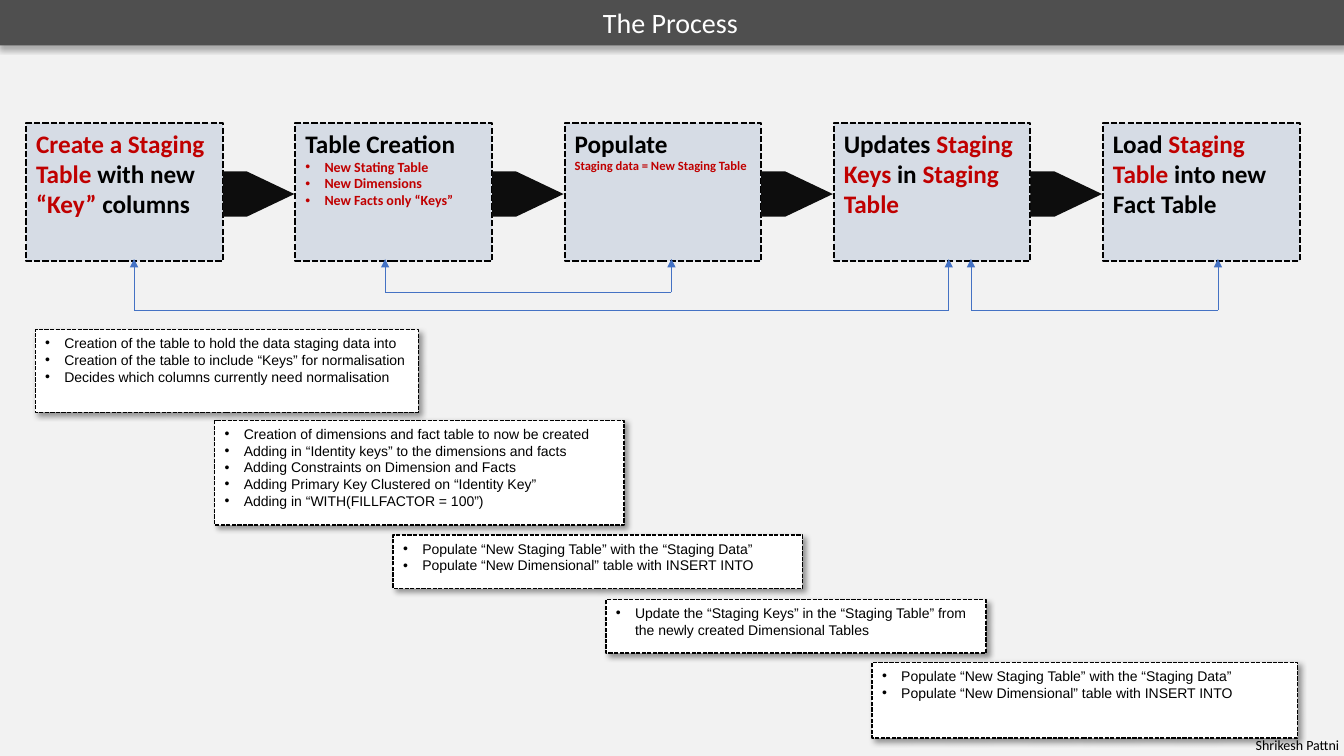
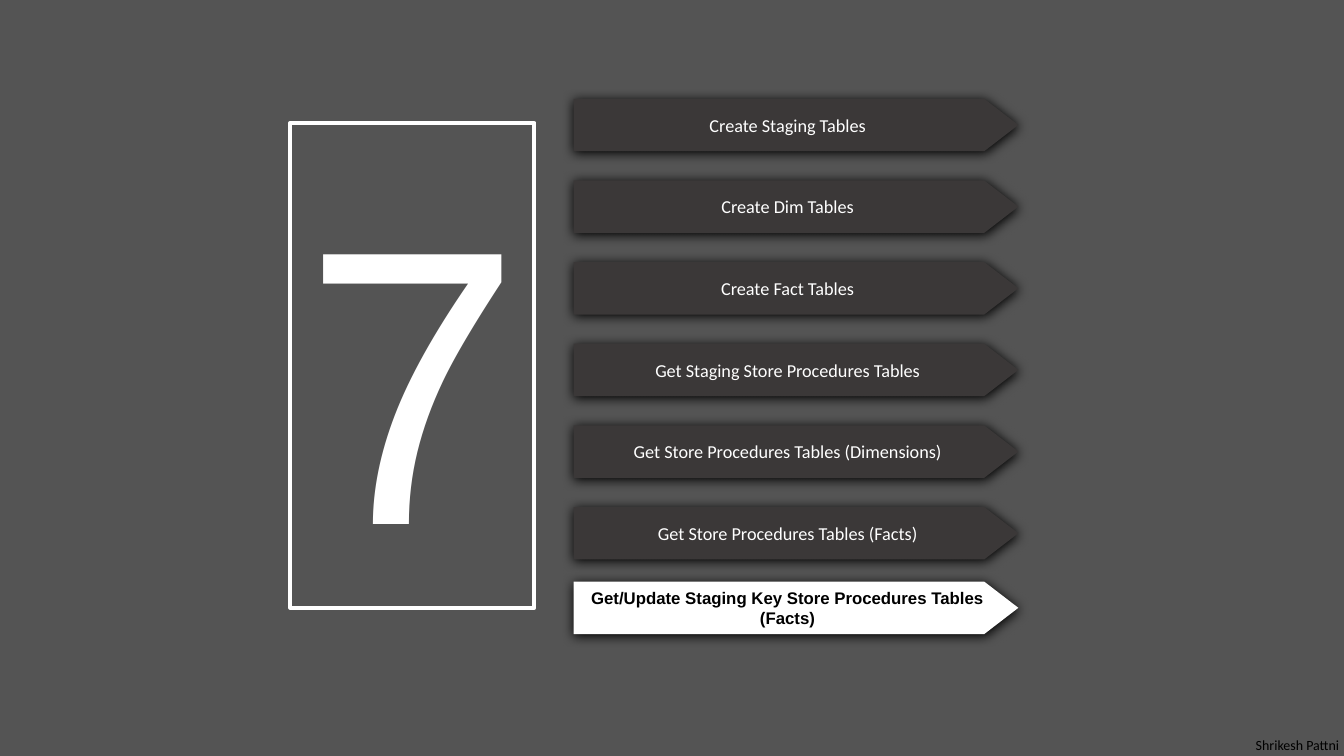
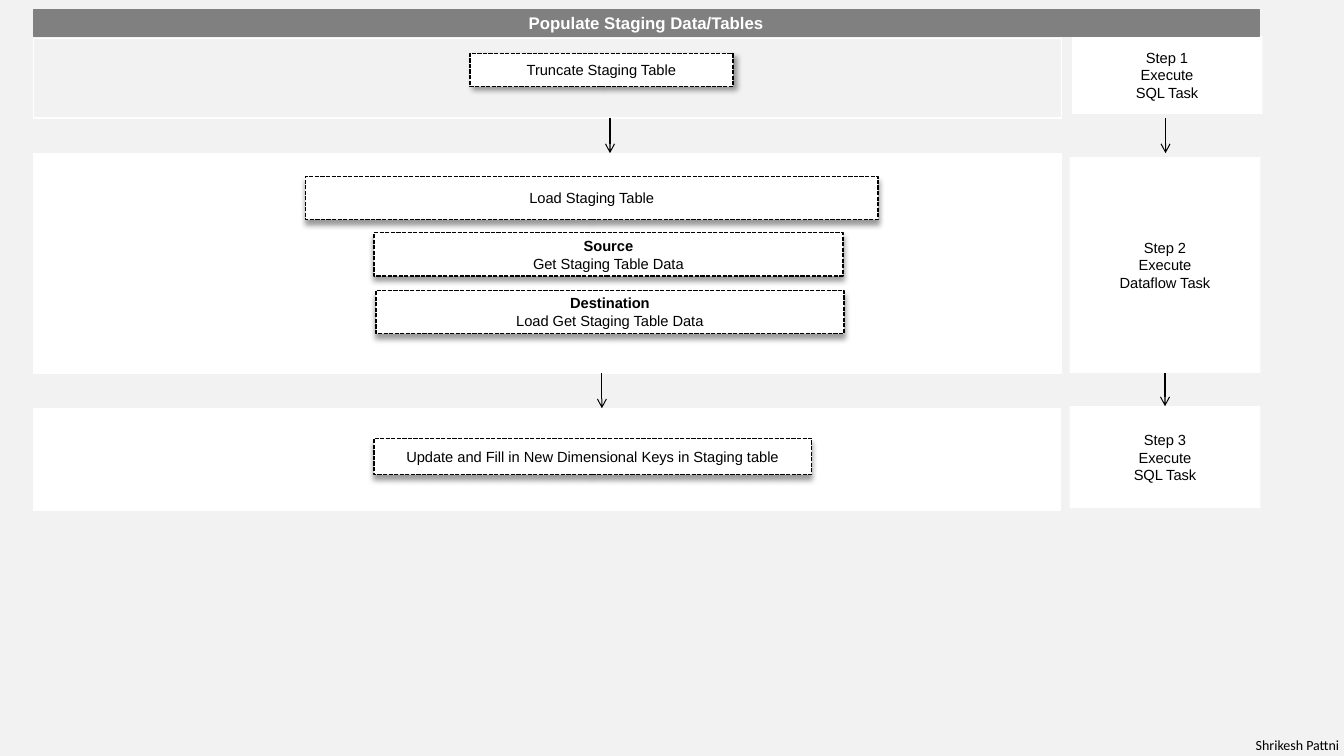
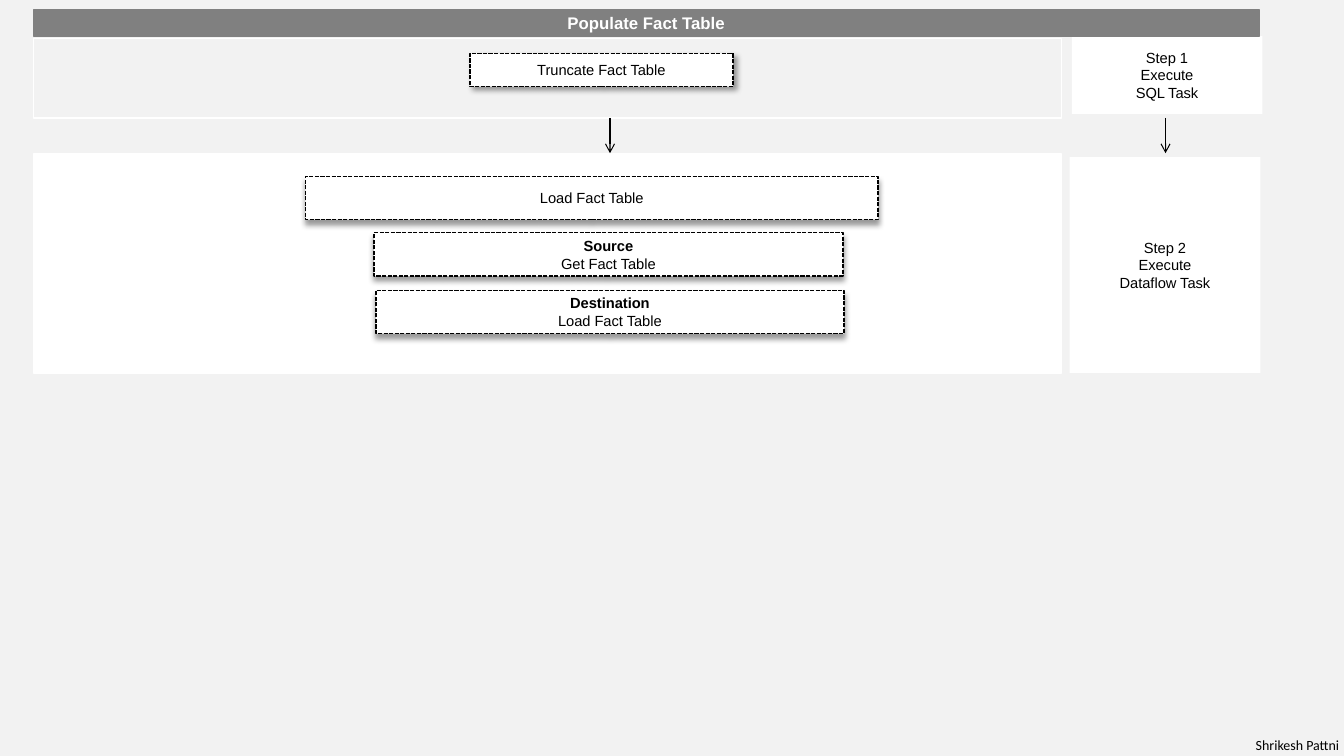
from dataclasses import dataclass
from typing import NamedTuple, Optional

from lxml import etree
from pptx import Presentation
from pptx import util as u
from pptx.dml.color import RGBColor
from pptx.enum import dml, shapes, text
from pptx.oxml.ns import qn

C = {
    "black": "000000", "white": "FFFFFF", "light": "F2F2F2", "dark": "545454",
    "bar": "4F4F4F", "card": "D6DCE5", "red": "C00000", "blue": "4472C4",
    "arrow": "0D0D0D", "step": "3B3838", "grey": "808080",
}
RECT = shapes.MSO_SHAPE.RECTANGLE
PLATE = shapes.MSO_SHAPE.PENTAGON
TOP, MIDDLE, BOTTOM = (text.MSO_ANCHOR.TOP, text.MSO_ANCHOR.MIDDLE,
                       text.MSO_ANCHOR.BOTTOM)
LEFT, CENTER, RIGHT = text.PP_ALIGN.LEFT, text.PP_ALIGN.CENTER, text.PP_ALIGN.RIGHT


class At(NamedTuple):
    x: float
    y: float
    w: float
    h: float


class Line(NamedTuple):
    color: str
    width: float = 1
    dashed: bool = False


class Shadow(NamedTuple):
    alpha: int
    blur: float
    dist: float
    angle: int


class Run(NamedTuple):
    text: str
    color: str = "black"
    bold: bool = False


@dataclass(frozen=True)
class Para:
    runs: tuple[Run, ...]
    size: float
    font: str = "Arial"
    align: text.PP_ALIGN = CENTER
    bullet: bool = False


class Note(NamedTuple):
    at: At
    items: tuple[str, ...]


class Flow(NamedTuple):
    title: str
    truncate: str
    load: str
    source: str
    destination: str
    update: Optional[str] = None


DASHED = Line("black", 1, True)
CARD_LINE = Line("black", 1.5, True)
WHITE_LINE = Line("white")
NOTE_SHADOW = Shadow(40, 4, 3, 45)
DROP_SHADOW = Shadow(40, 4, 3, 90)
BAR_SHADOW = Shadow(30, 4.5, 2.6, 53)
GLOW = Shadow(100, 8.5, 1, 90)


def rgb(name: str) -> RGBColor:
    return RGBColor.from_string(C[name])


def add_shadow(sp, shadow: Shadow) -> None:
    effects = sp._element.spPr.find(qn("a:effectLst"))
    outer = etree.SubElement(
        effects, qn("a:outerShdw"), blurRad=str(u.Pt(shadow.blur)),
        dist=str(u.Pt(shadow.dist)), dir=str(shadow.angle * 60000),
        algn="tl", rotWithShape="0")
    color = etree.SubElement(outer, qn("a:srgbClr"), val=C["black"])
    etree.SubElement(color, qn("a:alpha"), val=str(shadow.alpha * 1000))


def write(tf, paras: list[Para], anchor=MIDDLE) -> None:
    tf.word_wrap = True
    tf.vertical_anchor = anchor
    for i, para in enumerate(paras):
        p = tf.paragraphs[0] if i == 0 else tf.add_paragraph()
        p.alignment = para.align
        if para.bullet:
            props = p._p.get_or_add_pPr()
            props.set("marL", str(u.Inches(0.19)))
            props.set("indent", str(u.Inches(-0.19)))
            etree.SubElement(props, qn("a:buFont"), typeface="Arial")
            etree.SubElement(props, qn("a:buChar"), char="•")
        for run in para.runs:
            r = p.add_run()
            r.text = run.text
            r.font.name = para.font
            r.font.size = u.Pt(para.size)
            r.font.bold = run.bold
            r.font.color.rgb = rgb(run.color)


def add_box(s, at: At, fill: Optional[str], paras: Optional[list[Para]] = None,
            line: Optional[Line] = None, shadow: Optional[Shadow] = None,
            anchor=MIDDLE, kind=RECT, adj: Optional[float] = None):
    sp = s.shapes.add_shape(kind, *map(u.Inches, at))
    if adj is not None:
        sp.adjustments[0] = adj
    if fill:
        sp.fill.solid()
        sp.fill.fore_color.rgb = rgb(fill)
    else:
        sp.fill.background()
    if line:
        sp.line.color.rgb = rgb(line.color)
        sp.line.width = u.Pt(line.width)
        if line.dashed:
            sp.line.dash_style = dml.MSO_LINE.SQUARE_DOT
    else:
        sp.line.fill.background()
    sp.shadow.inherit = False
    if shadow:
        add_shadow(sp, shadow)
    if paras:
        write(sp.text_frame, paras, anchor)
    return sp


def add_line(s, x1: float, y1: float, x2: float, y2: float, line: Line,
             head: Optional[str] = None):
    sp = s.shapes.add_connector(shapes.MSO_CONNECTOR.STRAIGHT,
                                *map(u.Inches, (x1, y1, x2, y2)))
    sp.line.color.rgb = rgb(line.color)
    sp.line.width = u.Pt(line.width)
    props = sp._element.spPr
    if head:
        etree.SubElement(props.find(qn("a:ln")), qn("a:tailEnd"), type=head)
    etree.SubElement(props, qn("a:effectLst"))
    return sp


def add_slide(prs, background: str):
    s = prs.slides.add_slide(prs.slide_layouts[6])
    s.background.fill.solid()
    s.background.fill.fore_color.rgb = rgb(background)
    return s


def add_footer(s) -> None:
    sp = s.shapes.add_textbox(*map(u.Inches, At(12.02, 7.26, 1.36, 0.27)))
    write(sp.text_frame, [Para((Run("Shrikesh Pattni"),), 10, "Calibri", RIGHT)], TOP)


def heading(*runs: Run) -> Para:
    return Para(runs, 18, "Calibri", LEFT)


def detail(words: str, size: float, bullet: bool) -> Para:
    return Para((Run(words, "red", True),), size, "Calibri", LEFT, bullet)


def black(words: str) -> Run:
    return Run(words, "black", True)


def red(words: str) -> Run:
    return Run(words, "red", True)


CARDS = [
    [heading(red("Create a Staging Table "), black("with new "),
             red("“Key” "), black("columns"))],
    [heading(black("Table Creation")),
     *(detail(words, 10, True) for words in
       ("New Stating Table", "New Dimensions", "New Facts only “Keys”"))],
    [heading(black("Populate")),
     detail("Staging data = New Staging Table", 9, False)],
    [heading(black("Updates "), red("Staging Keys"), black(" in "),
             red("Staging Table"))],
    [heading(black("Load "), red("Staging Table "), black("into new Fact Table"))],
]
POPULATE = ("Populate “New Staging Table” with the “Staging Data”",
            "Populate “New Dimensional” table with INSERT INTO")
NOTES = [
    Note(At(0.35, 3.27, 3.8, 0.82), (
        "Creation of the table to hold the data staging data into",
        "Creation of the table to include “Keys” for normalisation",
        "Decides which columns currently need normalisation")),
    Note(At(2.13, 4.17, 4.06, 1.04), (
        "Creation of dimensions and fact table to now be created",
        "Adding in “Identity keys” to the dimensions and facts",
        "Adding Constraints on Dimension and Facts",
        "Adding Primary Key Clustered on “Identity Key”",
        "Adding in “WITH(FILLFACTOR = 100”)")),
    Note(At(3.9, 5.31, 4.06, 0.53), POPULATE),
    Note(At(6.01, 5.95, 3.77, 0.53), (
        "Update the “Staging Keys” in the “Staging Table” from "
        "the newly created Dimensional Tables",)),
    Note(At(8.65, 6.57, 4.22, 0.75), POPULATE),
]
LINKS = [(1.33, 9.41, 3.08), (3.82, 6.66, 2.9), (9.63, 12.08, 3.08)]


def build_process(prs) -> None:
    s = add_slide(prs, "light")
    card_w, pitch = 1.95, 2.67
    for i, paras in enumerate(CARDS):
        x = 0.26 + i * pitch
        add_box(s, At(x, 1.22, card_w, 1.37), "card", paras, CARD_LINE, anchor=TOP)
        if i < len(CARDS) - 1:
            add_box(s, At(x + card_w, 1.7, 0.71, 0.45), "arrow", kind=PLATE, adj=1.05)
    for note in NOTES:
        paras = [Para((Run(item),), 10, align=LEFT, bullet=True) for item in note.items]
        add_box(s, note.at, "white", paras, DASHED, NOTE_SHADOW, TOP)
    thin = Line("blue", 0.5)
    for x1, x2, y in LINKS:
        add_line(s, x2, y, x1, y, thin)
        for x in (x1, x2):
            add_line(s, x, y, x, 2.57, thin, "triangle")
    add_box(s, At(-0.03, 0, 13.36, 0.45), "bar",
            [Para((Run("The Process", "white"),), 20, "Calibri")], shadow=BAR_SHADOW)
    add_footer(s)


STAGES = [
    "Create Staging Tables", "Create Dim Tables", "Create Fact Tables",
    "Get Staging Store Procedures Tables",
    "Get Store Procedures Tables (Dimensions)",
    "Get Store Procedures Tables (Facts)",
]
CURRENT_STAGE = "Get/Update Staging Key Store Procedures Tables (Facts)"


def build_section(prs) -> None:
    s = add_slide(prs, "dark")
    add_box(s, At(2.88, 1.22, 2.42, 4.81), None, [Para((Run("7", "white"),), 280)],
            Line("white", 3), anchor=BOTTOM)

    def add_stage(y: float, fill: str, para: Para) -> None:
        add_box(s, At(5.69, y, 4.41, 0.52), fill, [para], shadow=GLOW,
                kind=PLATE, adj=0.65)

    for i, stage in enumerate(STAGES):
        add_stage(0.98 + i * 0.81, "step", Para((Run(stage, "white"),), 13, "Calibri"))
    add_stage(5.77, "white", Para((black(CURRENT_STAGE),), 12))
    add_footer(s)


FLOWS = [
    Flow("Populate Staging Data/Tables", "Truncate Staging Table",
         "Load Staging Table", "Get Staging Table Data",
         "Load Get Staging Table Data",
         "Update and Fill in New Dimensional Keys in Staging table"),
    Flow("Populate Fact Table", "Truncate Fact Table", "Load Fact Table",
         "Get Fact Table", "Load Fact Table"),
]


def build_flow(prs, flow: Flow) -> None:
    s = add_slide(prs, "light")
    thin = Line("black", 0.75)

    def add_panel(at: At, fill: str = "white") -> None:
        add_box(s, at, fill, line=WHITE_LINE)

    def add_task(at: At, *runs: Run, shadow: Shadow = DROP_SHADOW) -> None:
        add_box(s, at, "white", [Para((r,), 10.5) for r in runs], DASHED, shadow)

    def add_step(at: At, *words: str):
        return add_box(s, at, "white", [Para((Run(w),), 10.5) for w in words])

    def add_arrow(x: float, y: float):
        return add_line(s, x, y, x, y + 0.35, thin, "arrow")

    add_panel(At(0.33, 0.38, 10.2, 0.79), "light")
    add_task(At(4.66, 0.53, 2.61, 0.33), Run(flow.truncate), shadow=NOTE_SHADOW)
    add_step(At(10.63, 0.36, 1.89, 0.77), "Step 1", "Execute", "SQL Task")

    add_panel(At(0.33, 1.53, 10.2, 2.17))
    add_task(At(3.03, 1.75, 5.68, 0.43), Run(flow.load))
    add_task(At(3.71, 2.31, 4.65, 0.43), black("Source"), Run(flow.source))
    add_task(At(3.73, 2.88, 4.64, 0.43), black("Destination"), Run(flow.destination))
    dataflow = add_step(At(10.61, 1.56, 1.89, 2.14), "Step 2", "Execute", "Dataflow Task")
    for x in (6.05, 11.56):
        add_arrow(x, 1.17)

    if flow.update:
        add_panel(At(0.33, 4.05, 10.19, 1.01))
        add_task(At(3.71, 4.35, 4.34, 0.36), Run(flow.update))
        update = add_step(At(10.61, 4.03, 1.89, 1.01), "Step 3", "Execute", "SQL Task")
        add_arrow(5.97, 3.7)
        sp = add_arrow(11.56, 3.7)
        sp.begin_connect(dataflow, 2)
        sp.end_connect(update, 0)

    add_box(s, At(0.33, 0.1, 12.16, 0.26), "grey",
            [Para((Run(flow.title, "white", True),), 12)], Line("grey"))
    add_footer(s)


def main() -> None:
    prs = Presentation()
    prs.slide_width, prs.slide_height = u.Inches(13.33), u.Inches(7.5)
    build_process(prs)
    build_section(prs)
    for flow in FLOWS:
        build_flow(prs, flow)
    prs.save("out.pptx")


if __name__ == "__main__":
    main()
